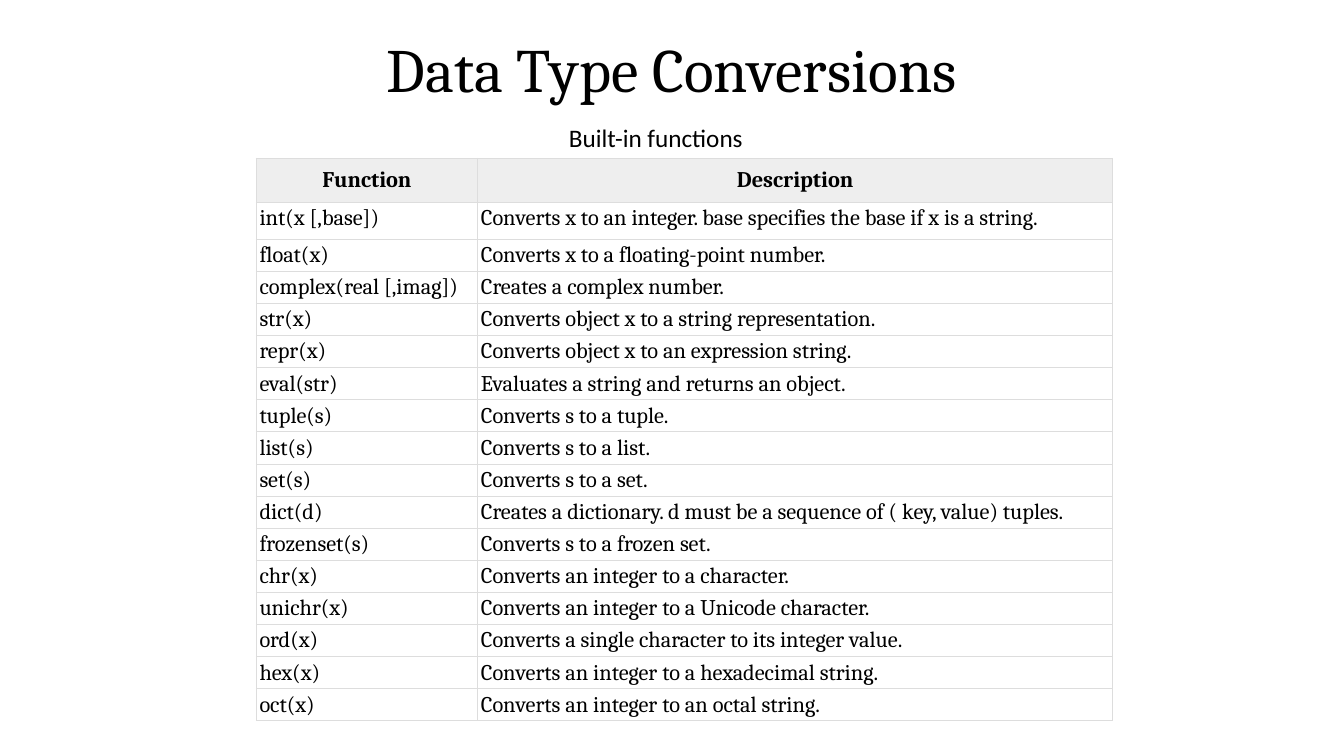
"""Build the slide on Python's built-in data type conversion functions."""
import lxml.etree
import pptx
import pptx.dml.color
import pptx.enum.text
import pptx.oxml
import pptx.oxml.ns
import pptx.util
from pptx.util import Cm

COLOURS = {"text": "000000", "header": "EEEEEE", "border": "DDDDDD"}
ALIGN = pptx.enum.text.PP_ALIGN
ANCHOR = pptx.enum.text.MSO_ANCHOR

FUNCTIONS = [
    ("Function", "Description"),
    ("int(x [,base])", "Converts x to an integer. base specifies the base if x is a string."),
    ("float(x)", "Converts x to a floating-point number."),
    ("complex(real [,imag])", "Creates a complex number."),
    ("str(x)", "Converts object x to a string representation."),
    ("repr(x)", "Converts object x to an expression string."),
    ("eval(str)", "Evaluates a string and returns an object."),
    ("tuple(s)", "Converts s to a tuple."),
    ("list(s)", "Converts s to a list."),
    ("set(s)", "Converts s to a set."),
    ("dict(d)", "Creates a dictionary. d must be a sequence of ( key, value) tuples."),
    ("frozenset(s)", "Converts s to a frozen set."),
    ("chr(x)", "Converts an integer to a character."),
    ("unichr(x)", "Converts an integer to a Unicode character."),
    ("ord(x)", "Converts a single character to its integer value."),
    ("hex(x)", "Converts an integer to a hexadecimal string."),
    ("oct(x)", "Converts an integer to an octal string."),
]


def write_text(frame, text, size=16, font="Cambria", bold=False, align=ALIGN.LEFT, spacing=None):
    paragraph = frame.paragraphs[0]
    paragraph.alignment = align
    paragraph.line_spacing = spacing
    run = paragraph.add_run()
    run.text = text
    run.font.size = pptx.util.Pt(size)
    run.font.name = font
    run.font.bold = bold
    run.font.color.rgb = pptx.dml.color.RGBColor.from_string(COLOURS["text"])


def add_borders(cell):
    properties = cell._tc.get_or_add_tcPr()
    for side in ("lnL", "lnR", "lnT", "lnB"):
        line = lxml.etree.SubElement(properties, pptx.oxml.ns.qn(f"a:{side}"), w="9525")
        fill = lxml.etree.SubElement(line, pptx.oxml.ns.qn("a:solidFill"))
        lxml.etree.SubElement(fill, pptx.oxml.ns.qn("a:srgbClr"), val=COLOURS["border"])


presentation = pptx.Presentation()
presentation.slide_width = Cm(33.87)
presentation.slide_height = Cm(19.05)
slide = presentation.slides.add_slide(presentation.slide_layouts[5])

title = slide.shapes.title
title.left, title.top, title.width, title.height = Cm(0), Cm(0), Cm(33.87), Cm(3.68)
title.text_frame.vertical_anchor = ANCHOR.MIDDLE
write_text(title.text_frame, "Data Type Conversions", size=44, align=ALIGN.CENTER, spacing=0.9)

table = slide.shapes.add_table(
    len(FUNCTIONS), 2, Cm(6.46), Cm(3.99), Cm(21.58), Cm(14.4)).table
table.first_row = False
table.horz_banding = False
table.columns[0].width = Cm(5.58)
table.columns[1].width = Cm(16)

for row_index, texts in enumerate(FUNCTIONS):
    header = row_index == 0
    table.rows[row_index].height = Cm({0: 1.1, 1: 0.94}.get(row_index, 0.79))
    for column_index, text in enumerate(texts):
        cell = table.cell(row_index, column_index)
        cell.margin_left = cell.margin_right = Cm(0.08)
        cell.margin_top = cell.margin_bottom = Cm(0.08)
        cell.vertical_anchor = ANCHOR.MIDDLE if header else ANCHOR.TOP
        add_borders(cell)
        if header:
            cell.fill.solid()
            cell.fill.fore_color.rgb = pptx.dml.color.RGBColor.from_string(COLOURS["header"])
        else:
            cell.fill.background()
        write_text(cell.text_frame, text, bold=header,
                   align=ALIGN.CENTER if header else ALIGN.LEFT)

subtitle = slide.shapes.add_textbox(Cm(13.67), Cm(2.95), Cm(5.72), Cm(1.02))
subtitle.text_frame.word_wrap = True
subtitle.text_frame.auto_size = pptx.enum.text.MSO_AUTO_SIZE.SHAPE_TO_FIT_TEXT
write_text(subtitle.text_frame, "Built-in functions", size=18, font="Calibri", align=ALIGN.CENTER)

presentation.save("out.pptx")
